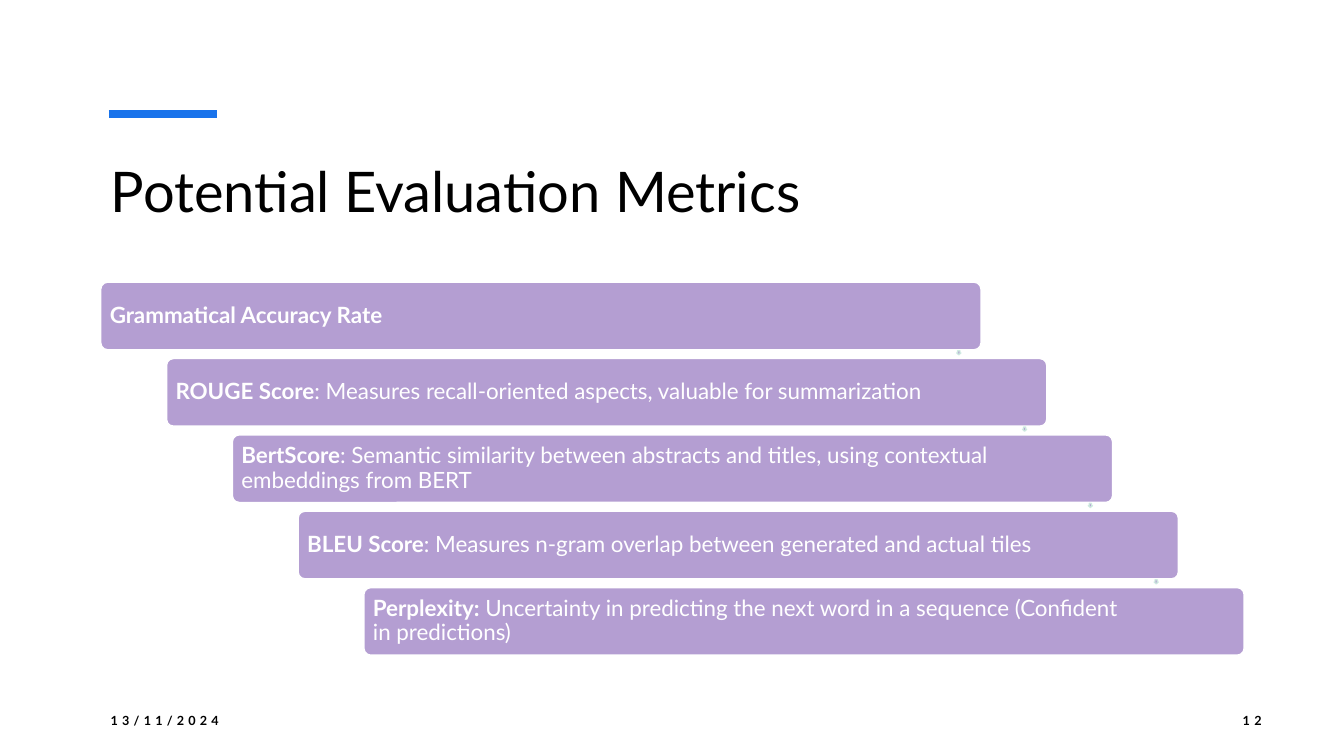
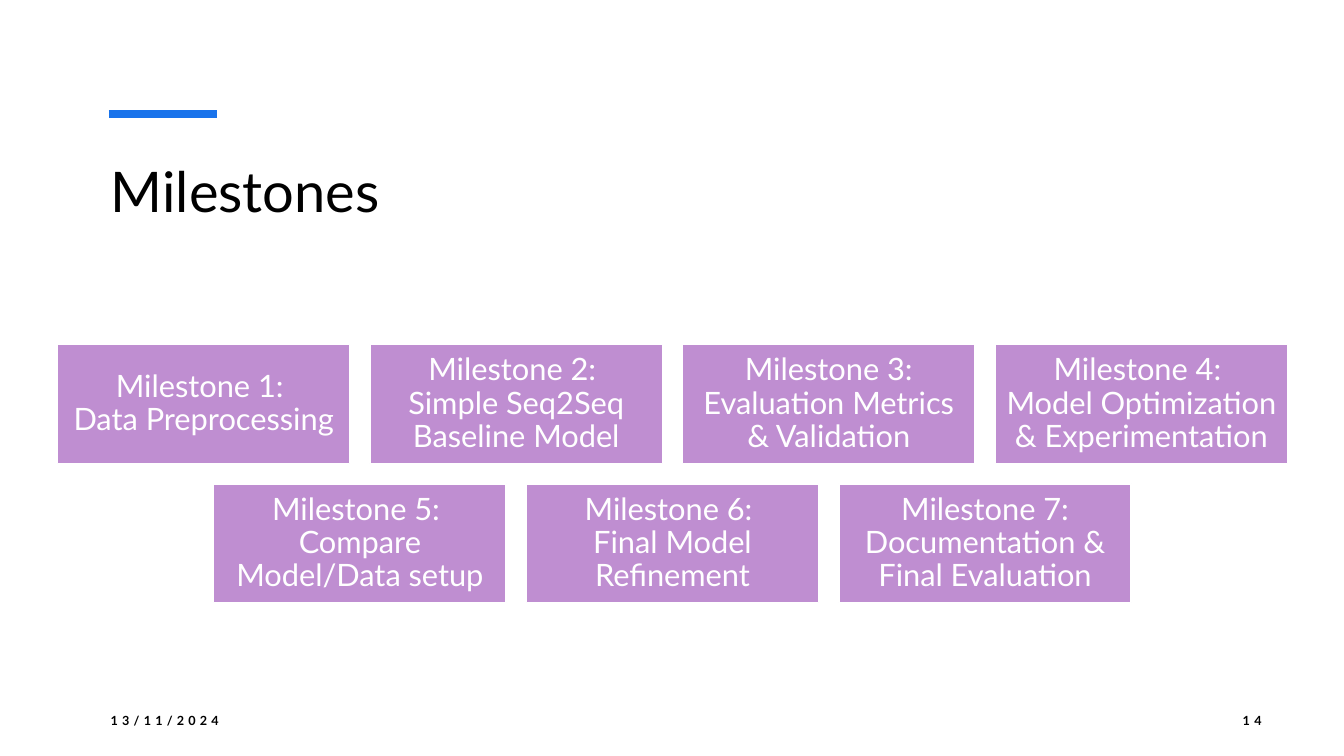
from dataclasses import dataclass

from lxml import etree
from pptx import Presentation
from pptx import util as u
from pptx.dml.color import RGBColor
from pptx.enum import shapes, text
from pptx.oxml import ns


@dataclass(frozen=True)
class Theme:
    font: str = "Lato"
    ink: str = "000000"
    paper: str = "FFFFFF"
    accent: str = "1973EB"
    metric: str = "B49ED2"
    milestone: str = "BF8ED1"
    arrow_edge: str = "CDEBE0"
    title_size: int = 40
    metric_size: int = 16
    milestone_size: int = 22
    footer_size: int = 9


class SlideBuilder:
    def __init__(self, deck, theme):
        self.deck = deck
        self.theme = theme
        self.page = None

    def start(self, title, date, number):
        self.page = self.deck.slides.add_slide(self.deck.slide_layouts[5])
        self.accent_bar()
        self.title(title)
        self.footer(1, 3, date, text.PP_ALIGN.LEFT)
        self.footer(11.82, 0.79, number, text.PP_ALIGN.RIGHT)

    def style(self, para, size, color, align=text.PP_ALIGN.LEFT):
        para.alignment = align
        para.font.name = self.theme.font
        para.font.size = u.Pt(size)
        para.font.color.rgb = RGBColor.from_string(color)

    def accent_bar(self):
        bar = self.page.shapes.add_connector(
            shapes.MSO_CONNECTOR.STRAIGHT,
            u.Inches(1.08), u.Inches(1.13), u.Inches(2.15), u.Inches(1.13))
        bar.line.color.rgb = RGBColor.from_string(self.theme.accent)
        bar.line.width = u.Pt(6)
        etree.SubElement(bar._element.spPr, ns.qn("a:effectLst"))

    def title(self, words):
        box = self.page.shapes.title
        box.left, box.top = u.Inches(1), u.Inches(1.5)
        box.width, box.height = u.Inches(11.33), u.Inches(1.3)
        frame = box.text_frame
        frame.text = words
        frame.vertical_anchor = text.MSO_ANCHOR.TOP
        self.style(frame.paragraphs[0], self.theme.title_size, self.theme.ink)

    def footer(self, left, width, words, align):
        box = self.page.shapes.add_textbox(
            u.Inches(left), u.Inches(6.95), u.Inches(width), u.Inches(0.4))
        frame = box.text_frame
        frame.word_wrap = True
        frame.vertical_anchor = text.MSO_ANCHOR.MIDDLE
        para = frame.paragraphs[0]
        self.style(para, self.theme.footer_size, self.theme.ink, align)
        para.font.bold = True
        span = para.add_run()
        span.text = words
        span._r.get_or_add_rPr().set("spc", "300")

    def shape(self, kind, left, top, width, height, fill, edge):
        box = self.page.shapes.add_shape(
            kind, u.Inches(left), u.Inches(top), u.Inches(width), u.Inches(height))
        box.shadow.inherit = False
        box.fill.solid()
        box.fill.fore_color.rgb = RGBColor.from_string(fill)
        box.line.color.rgb = RGBColor.from_string(edge)
        box.line.width = u.Pt(1)
        return box

    def label(self, box, size, align, inset, right_inset):
        frame = box.text_frame
        frame.word_wrap = True
        frame.vertical_anchor = text.MSO_ANCHOR.MIDDLE
        frame.margin_left = frame.margin_top = frame.margin_bottom = u.Inches(inset)
        frame.margin_right = u.Inches(right_inset)
        para = frame.paragraphs[0]
        para.line_spacing = 0.9
        self.style(para, size, self.theme.paper, align)
        return para

    def metric(self, left, top, width, height, name, detail):
        box = self.shape(shapes.MSO_SHAPE.ROUNDED_RECTANGLE, left, top, width, height,
                         self.theme.metric, self.theme.paper)
        box.adjustments[0] = 0.1
        para = self.label(box, self.theme.metric_size, text.PP_ALIGN.LEFT, 0.07, 1.16)
        for words, bold in ((name, True), (detail, False)):
            if words:
                span = para.add_run()
                span.text = words
                span.font.bold = bold

    def arrow(self, left, top):
        box = self.shape(shapes.MSO_SHAPE.DOWN_ARROW, left, top, 0.04, 0.04,
                         self.theme.metric, self.theme.arrow_edge)
        box.adjustments[0] = 0.55
        box.adjustments[1] = 0.45
        color = box.line._ln.find(".//" + ns.qn("a:srgbClr"))
        etree.SubElement(color, ns.qn("a:alpha"), val="90000")

    def milestone(self, left, top, width, height, words):
        box = self.shape(shapes.MSO_SHAPE.RECTANGLE, left, top, width, height,
                         self.theme.milestone, self.theme.paper)
        para = self.label(box, self.theme.milestone_size, text.PP_ALIGN.CENTER, 0.09, 0.09)
        para.text = words


METRICS = [
    ("Grammatical Accuracy Rate", ""),
    ("ROUGE Score", ": Measures recall-oriented aspects, valuable for summarization"),
    ("BertScore", ": Semantic similarity between abstracts and titles, "
                  "using contextual embeddings from BERT"),
    ("BLEU Score", ": Measures n-gram overlap between generated and actual tiles"),
    ("Perplexity:", " Uncertainty in predicting the next word in a sequence "
                    "(Confident in predictions)"),
]

MILESTONE_ROWS = [
    ["Milestone 1: \vData Preprocessing",
     "Milestone 2: \vSimple Seq2Seq Baseline Model",
     "Milestone 3: Evaluation Metrics & Validation",
     "Milestone 4: \vModel Optimization & Experimentation"],
    ["Milestone 5: \vCompare Model/Data setup",
     "Milestone 6: \vFinal Model Refinement",
     "Milestone 7: Documentation & Final Evaluation"],
]


def add_metrics(builder):
    left, top, width, height = 1, 2.8, 8.73, 0.67
    steps = len(METRICS) - 1
    step_x = (11.34 - width) / steps
    step_y = (3.7 - height) / steps
    for index, (name, detail) in enumerate(METRICS):
        builder.metric(left + index * step_x, top + index * step_y,
                       width, height, name, detail)
    for index in range(steps):
        builder.arrow(9.49 + index * step_x, 3.48 + index * step_y)


def add_milestones(builder):
    center, top, width, height, gap = 6.67, 3.42, 2.9, 1.18, 0.2
    for row, labels in enumerate(MILESTONE_ROWS):
        left = center - (len(labels) * (width + gap) - gap) / 2
        for column, words in enumerate(labels):
            builder.milestone(left + column * (width + gap),
                              top + row * (height + gap), width, height, words)


def main():
    deck = Presentation()
    deck.slide_width, deck.slide_height = u.Inches(13.33), u.Inches(7.5)
    builder = SlideBuilder(deck, Theme())
    date = "13/11/2024"
    builder.start("Potential Evaluation Metrics", date, "12")
    add_metrics(builder)
    builder.start("Milestones", date, "14")
    add_milestones(builder)
    deck.save("out.pptx")


if __name__ == "__main__":
    main()
